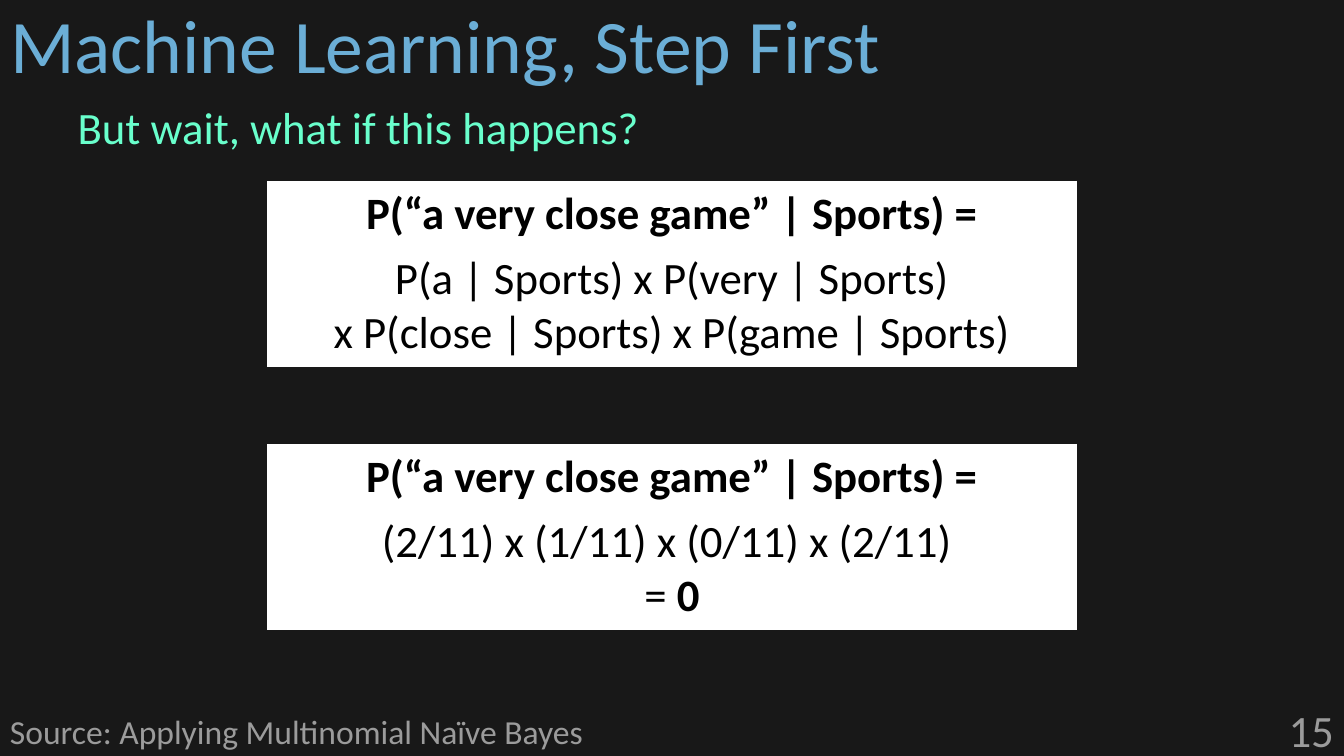
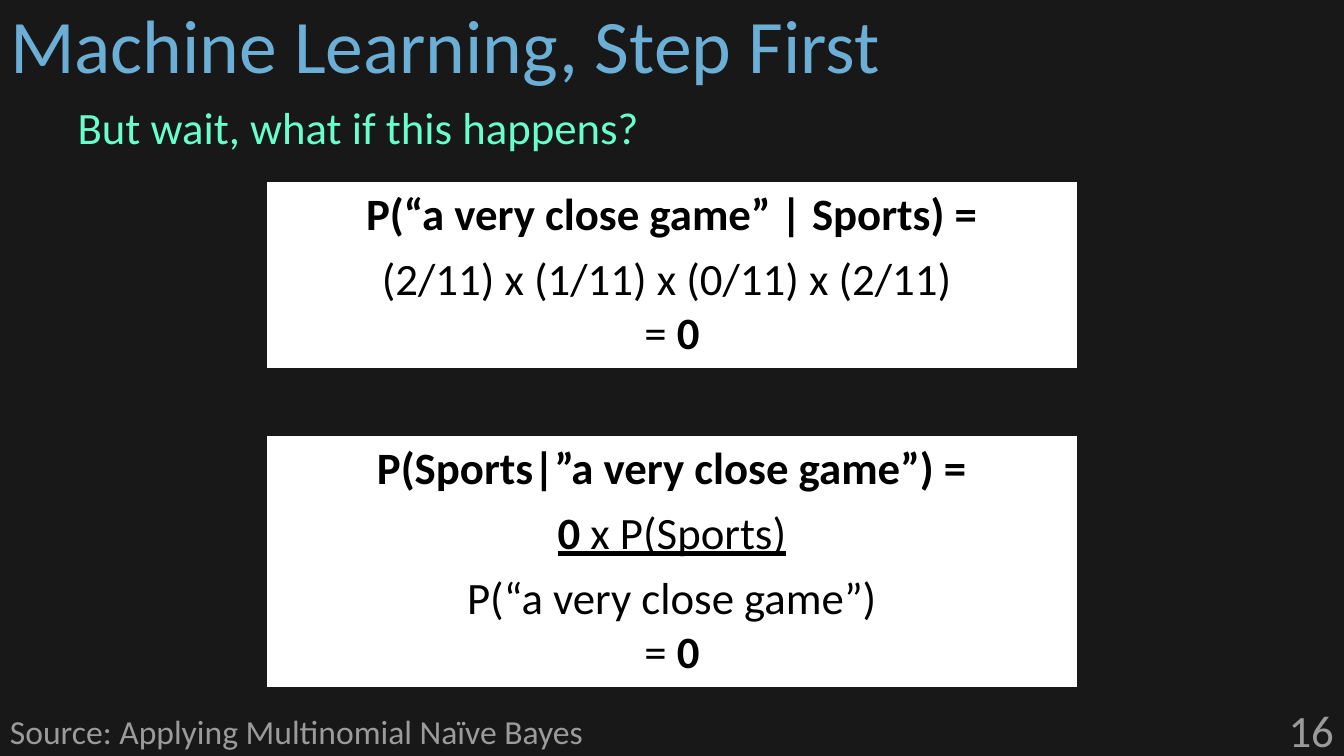
"""Build two slides on zero probabilities in Naïve Bayes."""
import dataclasses

import lxml.etree
import pptx
import pptx.dml.color
import pptx.enum.text
import pptx.oxml.ns
import pptx.util

Pt = pptx.util.Pt
ALIGN = pptx.enum.text.PP_ALIGN
ANCHOR = pptx.enum.text.MSO_ANCHOR


@dataclasses.dataclass(frozen=True)
class Theme:
    font: str = "Calibri"
    background: str = "181818"
    title: str = "6BAED6"
    question: str = "69FFCC"
    footer: str = "9B9B9B"
    formula: str = "000000"
    panel: str = "FFFFFF"
    title_size: int = 54
    body_size: int = 32
    source_size: int = 24


@dataclasses.dataclass(frozen=True)
class Part:
    text: str
    bold: bool = False
    underline: bool = False


THEME = Theme()
ZERO_RESULT = [Part("= "), Part("0", bold=True)]
LIKELIHOOD = [Part("P(“a very close game” | Sports) =", bold=True)]
FACTORS = [
    [LIKELIHOOD],
    [
        [Part("P(a | Sports) x P(very | Sports)")],
        [Part("x P(close | Sports) x P(game | Sports)")],
    ],
]
VALUES = [
    [LIKELIHOOD],
    [[Part("(2/11) x (1/11) x (0/11) x (2/11) ")], ZERO_RESULT],
]
POSTERIOR = [
    [[Part("P(Sports|”a very close game”) =", bold=True)]],
    [[Part("0 ", bold=True, underline=True), Part("x P(Sports)", underline=True)]],
    [[Part("P(“a very close game”)")], ZERO_RESULT],
]
SLIDES = [
    (15, [(129.6, FACTORS), (317.5, VALUES)]),
    (16, [(130.3, VALUES), (311.8, POSTERIOR)]),
]


def rgb(value):
    return pptx.dml.color.RGBColor.from_string(value)


def set_background(presentation):
    fill = presentation.slide_master.background.fill
    fill.solid()
    fill.fore_color.rgb = rgb(THEME.background)


def add_run(paragraph, part, size, color):
    run = paragraph.add_run()
    run.text = part.text
    font = run.font
    font.name = THEME.font
    font.size = Pt(size)
    font.bold = part.bold
    font.underline = part.underline
    font.color.rgb = rgb(color)


def write_line(shape, box, text, size, color, anchor, alignment=ALIGN.LEFT):
    shape.left, shape.top, shape.width, shape.height = map(Pt, box)
    frame = shape.text_frame
    frame.word_wrap = True
    frame.auto_size = pptx.enum.text.MSO_AUTO_SIZE.NONE
    frame.vertical_anchor = anchor
    paragraph = frame.paragraphs[0]
    paragraph.alignment = alignment
    add_run(paragraph, Part(text), size, color)
    return paragraph


def add_heading(slide):
    paragraph = write_line(
        slide.shapes.title, (0, 2.2, 828, 51.1), "Machine Learning, Step First",
        THEME.title_size, THEME.title, ANCHOR.TOP)
    paragraph.line_spacing = 0.9


def add_question(slide):
    paragraph = write_line(
        slide.placeholders[1], (48.2, 72, 485.3, 39.6),
        "But wait, what if this happens?",
        THEME.body_size, THEME.question, ANCHOR.TOP)
    paragraph.line_spacing = 0.9
    paragraph.space_before = Pt(10)
    properties = paragraph._p.get_or_add_pPr()
    properties.set("marL", "0")
    properties.set("indent", "0")
    lxml.etree.SubElement(properties, pptx.oxml.ns.qn("a:buNone"))


def add_footer(slide, number):
    source = slide.shapes.add_textbox(0, 0, 0, 0)
    write_line(source, (0, 504.7, 432, 35.3),
               "Source: Applying Multinomial Naïve Bayes",
               THEME.source_size, THEME.footer, ANCHOR.MIDDLE)
    page = slide.shapes.add_textbox(0, 0, 0, 0)
    write_line(page, (744, 503.3, 216, 35.3), str(number),
               THEME.body_size, THEME.footer, ANCHOR.MIDDLE, ALIGN.RIGHT)


def fill_cell(cell, lines):
    cell.fill.solid()
    cell.fill.fore_color.rgb = rgb(THEME.panel)
    frame = cell.text_frame
    for index, parts in enumerate(lines):
        paragraph = frame.add_paragraph() if index else frame.paragraphs[0]
        paragraph.alignment = ALIGN.CENTER
        for part in parts:
            add_run(paragraph, part, THEME.body_size, THEME.formula)


def add_formula(slide, top, rows):
    heights = [Pt(7.2 + 38.4 * len(lines)) for lines in rows]
    frame = slide.shapes.add_table(
        len(rows), 1, Pt(191.4), Pt(top), Pt(577.2), sum(heights))
    table = frame.table
    table.horz_banding = False
    for index, (lines, height) in enumerate(zip(rows, heights)):
        table.rows[index].height = height
        fill_cell(table.cell(index, 0), lines)


def add_formula_slide(presentation, number, formulas):
    slide = presentation.slides.add_slide(presentation.slide_layouts[1])
    add_heading(slide)
    add_question(slide)
    for top, rows in formulas:
        add_formula(slide, top, rows)
    add_footer(slide, number)


def main():
    presentation = pptx.Presentation()
    presentation.slide_width = Pt(960)
    presentation.slide_height = Pt(540)
    set_background(presentation)
    for number, formulas in SLIDES:
        add_formula_slide(presentation, number, formulas)
    presentation.save("out.pptx")


main()
